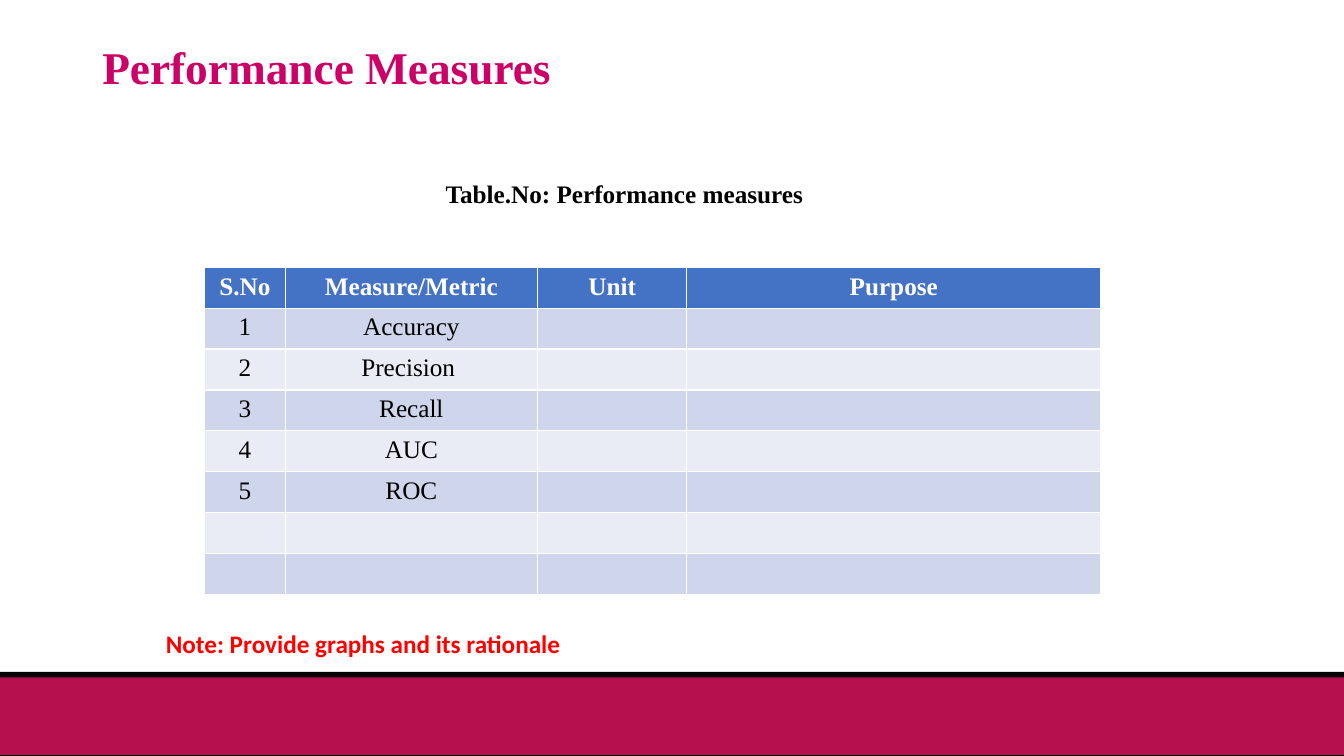
from pptx import Presentation
from pptx.dml.color import RGBColor
from pptx.enum import shapes, text
from pptx.util import Pt

BLACK = RGBColor(0, 0, 0)
WHITE = RGBColor(255, 255, 255)
RED = RGBColor(255, 0, 0)
PINK = RGBColor(0xCC, 0x00, 0x66)
WINE = RGBColor(0xB6, 0x11, 0x4D)
BLUE = RGBColor(0x44, 0x72, 0xC4)
BANDS = [RGBColor(0xCF, 0xD5, 0xEA), RGBColor(0xE9, 0xEB, 0xF5)]

SERIF, SANS = "Times New Roman", "Calibri"
LEFT, MID = text.PP_ALIGN.LEFT, text.PP_ALIGN.CENTER

# top, height, colour
BARS = [(480, 60.2, BLACK), (483.8, 55.4, WINE)]

# words, (left, top, width, height), font, size, colour, alignment
TITLE = ("Performance Measures", (66, 28.8, 828, 41.8), SERIF, 32.4, PINK, LEFT)
LABELS = [
    ("Table.No: Performance measures", (206, 123.8, 480, 29), SERIF, 18, BLACK, MID),
    ("Note: Provide graphs and its rationale", (111.4, 445, 480, 29), SANS, 18, RED, LEFT),
]

HEADS = ["S.No", "Measure/Metric", "Unit", "Purpose"]
METRICS = ["Accuracy", "Precision ", "Recall", "AUC", "ROC"]
BLANKS = 2
WIDTHS = [57.4, 180.4, 106.5, 295.8]
TABLE_X, TABLE_Y = 146.3, 191.3
HEAD_H, ROW_H = 27.9, 29.2


def style(para, font, size, color, align, bold):
    para.alignment = align
    for run in para.runs:
        run.font.name = font
        run.font.size = Pt(size)
        run.font.bold = bold
        run.font.color.rgb = color


def add_label(slide, words, place, font, size, color, align):
    box = slide.shapes.add_textbox(*map(Pt, place))
    frame = box.text_frame
    frame.word_wrap = True
    frame.text = words
    style(frame.paragraphs[0], font, size, color, align, True)
    return frame


def add_bars(slide, width):
    for top, height, color in BARS:
        bar = slide.shapes.add_shape(
            shapes.MSO_SHAPE.RECTANGLE, 0, Pt(top), width, Pt(height))
        bar.shadow.inherit = False
        bar.fill.solid()
        bar.fill.fore_color.rgb = color
        bar.line.fill.background()


def add_metrics(slide):
    rows = [HEADS]
    rows += [[str(n), name, "", ""] for n, name in enumerate(METRICS, 1)]
    rows += [[""] * len(HEADS)] * BLANKS
    high = [HEAD_H] + [ROW_H] * (len(rows) - 1)
    table = slide.shapes.add_table(
        len(rows), len(HEADS), Pt(TABLE_X), Pt(TABLE_Y),
        Pt(sum(WIDTHS)), Pt(sum(high))).table
    for col, width in zip(table.columns, WIDTHS):
        col.width = Pt(width)
    for r, row in enumerate(rows):
        table.rows[r].height = Pt(high[r])
        head = r == 0
        for c, words in enumerate(row):
            cell = table.cell(r, c)
            cell.fill.solid()
            cell.fill.fore_color.rgb = BLUE if head else BANDS[(r - 1) % 2]
            if words:
                cell.text_frame.text = words
                style(cell.text_frame.paragraphs[0], SERIF, 18,
                      WHITE if head else BLACK, MID, head)


def main():
    deck = Presentation()
    deck.slide_width, deck.slide_height = Pt(960), Pt(540)
    slide = deck.slides.add_slide(deck.slide_layouts[6])
    add_bars(slide, deck.slide_width)
    title = add_label(slide, *TITLE)
    title.vertical_anchor = text.MSO_ANCHOR.MIDDLE
    title.paragraphs[0].line_spacing = 0.9
    add_metrics(slide)
    for label in LABELS:
        add_label(slide, *label)
    deck.save("out.pptx")


if __name__ == "__main__":
    main()
